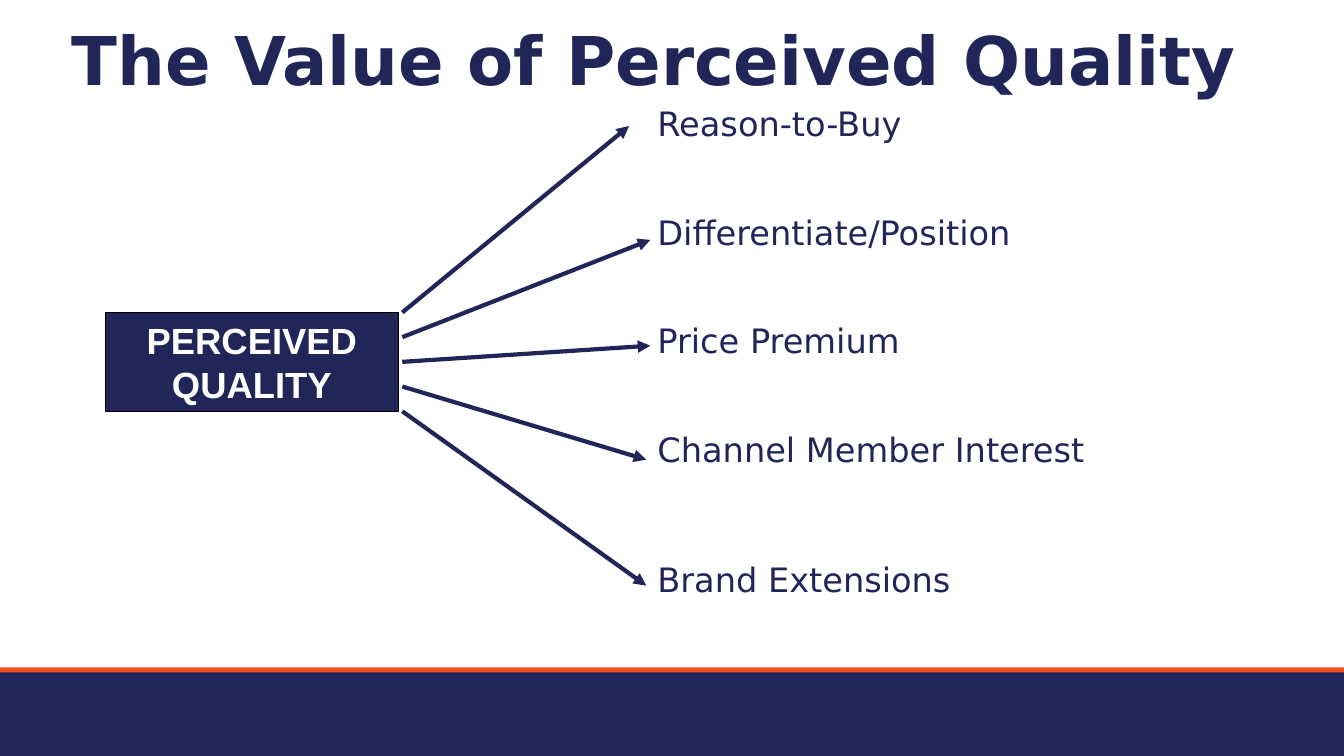
import pptx
import pptx.util
import pptx.dml.color
import pptx.enum.shapes
import pptx.enum.text
import pptx.oxml
import pptx.oxml.ns
from dataclasses import dataclass

TITLE = "The Value of Perceived Quality"
SOURCE = "PERCEIVED QUALITY"
BENEFITS = [
    {"text": "Reason-to-Buy", "gap": 0, "arrow_tip": (6.24, 1.25)},
    {"text": "Differentiate/Position", "gap": 51.5, "arrow_tip": (6.45, 2.38)},
    {"text": "Price Premium", "gap": 51.5, "arrow_tip": (6.45, 3.43)},
    {"text": "Channel Member Interest", "gap": 51.5, "arrow_tip": (6.41, 4.56)},
    {"text": "Brand Extensions", "gap": 67, "arrow_tip": (6.41, 5.81)},
]

SLIDE_WIDTH, SLIDE_HEIGHT = 13.33, 7.5
TITLE_BOX = (0.61, 0.08, 12.41, 0.83)
SOURCE_BOX = (1.05, 3.1, 2.9, 0.98)
BENEFITS_BOX = (6.45, 1.03, 6.38, 4.78)
FOOTER_TOP, STRIPE_HEIGHT = 6.66, 0.05
ARROW_GAP = 0.04


@dataclass(frozen=True)
class Theme:
    navy: str = "212659"
    orange: str = "F14E22"
    white: str = "FFFFFF"
    black: str = "000000"
    body_font: str = "DejaVu Sans"
    box_font: str = "Arial"
    title_size: int = 48
    box_size: int = 26
    body_size: int = 24
    arrow_width: int = 3
    outline_width: float = 0.75


THEME = Theme()


def color(code):
    return pptx.dml.color.RGBColor.from_string(code)


def inches(values):
    return [pptx.util.Inches(value) for value in values]


def write_text(paragraph, text, *, size, fill=THEME.navy, font=THEME.body_font,
               bold=False, align=pptx.enum.text.PP_ALIGN.LEFT, before=0, spacing=1.0):
    paragraph.text = text
    paragraph.alignment = align
    paragraph.space_before = pptx.util.Pt(before)
    paragraph.line_spacing = spacing
    paragraph.font.size = pptx.util.Pt(size)
    paragraph.font.name = font
    paragraph.font.bold = bold
    paragraph.font.color.rgb = color(fill)


def set_frame(frame, margins, anchor):
    frame.word_wrap = True
    frame.auto_size = pptx.enum.text.MSO_AUTO_SIZE.NONE
    frame.vertical_anchor = anchor
    (frame.margin_left, frame.margin_top,
     frame.margin_right, frame.margin_bottom) = inches(margins)


def add_rectangle(slide, box, fill, outline=None):
    shape = slide.shapes.add_shape(pptx.enum.shapes.MSO_SHAPE.RECTANGLE, *inches(box))
    shape.shadow.inherit = False
    shape.fill.solid()
    shape.fill.fore_color.rgb = color(fill)
    if outline:
        shape.line.color.rgb = color(outline)
        shape.line.width = pptx.util.Pt(THEME.outline_width)
    else:
        shape.line.fill.background()
    return shape


def add_arrow(slide, start, tip):
    arrow = slide.shapes.add_connector(
        pptx.enum.shapes.MSO_CONNECTOR.STRAIGHT, *inches(start + tip))
    arrow.line.color.rgb = color(THEME.navy)
    arrow.line.width = pptx.util.Pt(THEME.arrow_width)
    properties = arrow.element.spPr
    head = pptx.oxml.parse_xml(
        f'<a:tailEnd {pptx.oxml.ns.nsdecls("a")} type="triangle"/>')
    properties.find(pptx.oxml.ns.qn("a:ln")).append(head)
    properties.append(pptx.oxml.parse_xml(
        f'<a:effectLst {pptx.oxml.ns.nsdecls("a")}/>'))


def add_title(slide):
    title = slide.shapes.title
    title.left, title.top, title.width, title.height = inches(TITLE_BOX)
    set_frame(title.text_frame, (0.1, 0.1, 0.1, 0), pptx.enum.text.MSO_ANCHOR.TOP)
    write_text(title.text_frame.paragraphs[0], TITLE, size=THEME.title_size, bold=True)


def add_source(slide):
    frame = add_rectangle(slide, SOURCE_BOX, THEME.navy, THEME.black).text_frame
    set_frame(frame, (0.1, 0.05, 0.1, 0.05), pptx.enum.text.MSO_ANCHOR.MIDDLE)
    write_text(frame.paragraphs[0], SOURCE, size=THEME.box_size, fill=THEME.white,
               font=THEME.box_font, bold=True, align=pptx.enum.text.PP_ALIGN.CENTER)


def add_benefits(slide):
    frame = slide.shapes.add_textbox(*inches(BENEFITS_BOX)).text_frame
    set_frame(frame, (0.07, 0.04, 0.07, 0.04), pptx.enum.text.MSO_ANCHOR.TOP)
    left, top, width, height = SOURCE_BOX
    step = height / (len(BENEFITS) - 1)
    for index, benefit in enumerate(BENEFITS):
        paragraph = frame.add_paragraph() if index else frame.paragraphs[0]
        write_text(paragraph, benefit["text"], size=THEME.body_size,
                   before=benefit["gap"], spacing=0.9)
        start = (left + width + ARROW_GAP, top + index * step)
        add_arrow(slide, start, benefit["arrow_tip"])


def main():
    presentation = pptx.Presentation()
    presentation.slide_width, presentation.slide_height = inches((SLIDE_WIDTH, SLIDE_HEIGHT))
    slide = presentation.slides.add_slide(presentation.slide_layouts.get_by_name("Title Only"))
    add_rectangle(slide, (0, FOOTER_TOP, SLIDE_WIDTH, SLIDE_HEIGHT - FOOTER_TOP), THEME.navy)
    add_rectangle(slide, (0, FOOTER_TOP - STRIPE_HEIGHT + 0.01, SLIDE_WIDTH, STRIPE_HEIGHT),
                  THEME.orange)
    add_title(slide)
    add_source(slide)
    add_benefits(slide)
    presentation.save("out.pptx")


if __name__ == "__main__":
    main()
